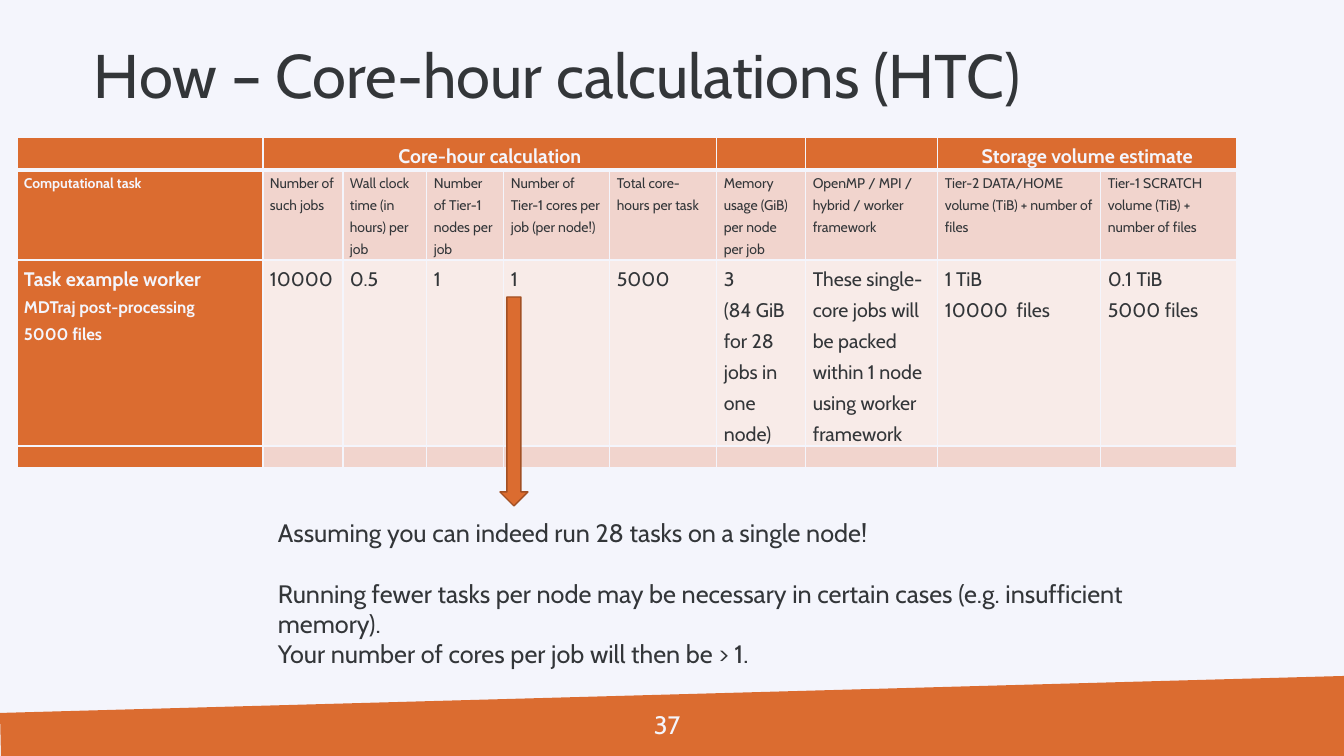
"""Build the slide on core-hour calculations for high-throughput jobs."""
from lxml import etree
from pptx import Presentation
from pptx.dml.color import RGBColor
from pptx.enum.shapes import MSO_SHAPE as Shape
from pptx.enum.text import MSO_ANCHOR as Anchor, PP_ALIGN as Align
from pptx.oxml.ns import qn
from pptx.util import Pt

COLORS = {"paper": "F4F5FC", "orange": "DB6C30", "edge": "A25024",
          "ink": "333639", "rose": "F1D4CD", "pale": "F8EBE8"}
FONT = "Cabin"
TITLE = "How – Core-hour calculations (HTC)"
PAGE = "37"
NOTES = ["Assuming you can indeed run 28 tasks on a single node!",
         "Running fewer tasks per node may be necessary in certain cases "
         "(e.g. insufficient memory).",
         "Your number of cores per job will then be > 1."]
GROUPS = {1: ("Core-hour calculation", 5), 8: ("Storage volume estimate", 2)}
HEADS = ["Computational task", "Number of such jobs",
         "Wall clock time (in hours) per job", "Number of Tier-1 nodes per job",
         "Number of Tier-1 cores per job (per node!)",
         "Total core-hours per task", "Memory usage (GiB) per node per job",
         "OpenMP / MPI / hybrid / worker framework",
         "Tier-2 DATA/HOME volume (TiB) + number of files",
         "Tier-1 SCRATCH volume (TiB) + number of files"]
TASK = ["Task example worker\nMDTraj post-processing\n5000 files",
        "10000", "0.5", "1", "1", "5000",
        "3\n(84 GiB for 28 jobs in one node)",
        "These single-core jobs will be packed within 1 node "
        "using worker framework",
        "1 TiB\n10000  files", "0.1 TiB\n5000 files"]
COLS = [246, 80, 84, 77, 106, 107, 89, 132, 163, 136]
ROWS = [33, 90, 183, 22]
FILLS = ["orange", "rose", "pale", "rose"]
SIZES = [14, 10, 14, 10]
WAVE = [(0, 713), (1344, 676), (1344, 756), (1, 756)]


def px(n):
    return round(n * 914400 / 100.8)


def rgb(name):
    return RGBColor.from_string(COLORS[name])


def paint(item, name):
    item.fill.solid()
    item.fill.fore_color.rgb = rgb(name)


def style(para, size, color, bold=False, lead=None):
    font = para.font
    font.name, font.size, font.bold = FONT, Pt(size), bold
    font.color.rgb = rgb(color)
    para.line_spacing = lead


def write(box, lines, size, color, lead=None):
    text = slide.shapes.add_textbox(*map(px, box)).text_frame
    text.word_wrap = True
    text.text = "\n".join(lines)
    for para in text.paragraphs:
        style(para, size, color, lead=lead)
    return text


def edge(cell, side, width):
    props = cell._tc.get_or_add_tcPr()
    line = etree.SubElement(props, qn("a:ln" + side), w=str(Pt(width)))
    fill = etree.SubElement(line, qn("a:solidFill"))
    etree.SubElement(fill, qn("a:srgbClr"), val=COLORS["paper"])


def fill_cell(cell, row, col, text):
    cell.margin_left = cell.margin_right = px(7)
    cell.margin_top = cell.margin_bottom = 0
    for side in "LRTB":
        thick = (row, side) in ((0, "B"), (1, "T"))
        edge(cell, side, 3 if thick else 1)
    paint(cell, "orange" if col == 0 else FILLS[row])
    cell.text = text
    bold = row == 0 or col == 0
    for i, para in enumerate(cell.text_frame.paragraphs):
        size = 12 if col == 0 and i else SIZES[row]
        style(para, size, "paper" if bold else "ink", bold, 1.3)
        para.alignment = Align.CENTER if row == 0 else Align.LEFT


def add_grid():
    frame = slide.shapes.add_table(len(ROWS), len(COLS), px(17), px(137),
                                   px(sum(COLS)), px(sum(ROWS)))
    grid = frame.table
    grid.horz_banding = False
    for col, width in zip(grid.columns, COLS):
        col.width = px(width)
    for row, high in zip(grid.rows, ROWS):
        row.height = px(high)
    span = range(len(COLS))
    tops = [GROUPS.get(c, ("", 1))[0] for c in span]
    for r, texts in enumerate([tops, HEADS, TASK, [""] * len(COLS)]):
        for c, text in enumerate(texts):
            fill_cell(grid.cell(r, c), r, c, text)
    for c, (_, count) in GROUPS.items():
        grid.cell(0, c).merge(grid.cell(0, c + count - 1))


def add_wave():
    pen = slide.shapes.build_freeform(*WAVE[0], scale=px(100) / 100)
    pen.add_line_segments(WAVE[1:], close=True)
    wave = pen.convert_to_shape()
    wave.shadow.inherit = False
    paint(wave, "orange")
    wave.line.fill.background()


def add_arrow():
    arrow = slide.shapes.add_shape(Shape.DOWN_ARROW,
                                   *map(px, (500, 297, 28, 209)))
    arrow.shadow.inherit = False
    paint(arrow, "orange")
    arrow.line.color.rgb = rgb("edge")
    arrow.line.width = Pt(1)


deck = Presentation()
deck.slide_width, deck.slide_height = px(1344), px(756)
slide = deck.slides.add_slide(deck.slide_layouts[6])
paint(slide.background, "paper")
add_wave()
add_grid()
title = write((84, 6, 1159, 146), [TITLE], 44, "ink", 0.9)
title.vertical_anchor = Anchor.MIDDLE
write((644, 704, 55, 40), [PAGE], 18, "paper")
notes = write((268, 512, 971, 162), NOTES, 18, "ink")
notes.paragraphs[0].space_after = Pt(22)
add_arrow()
deck.save("out.pptx")
